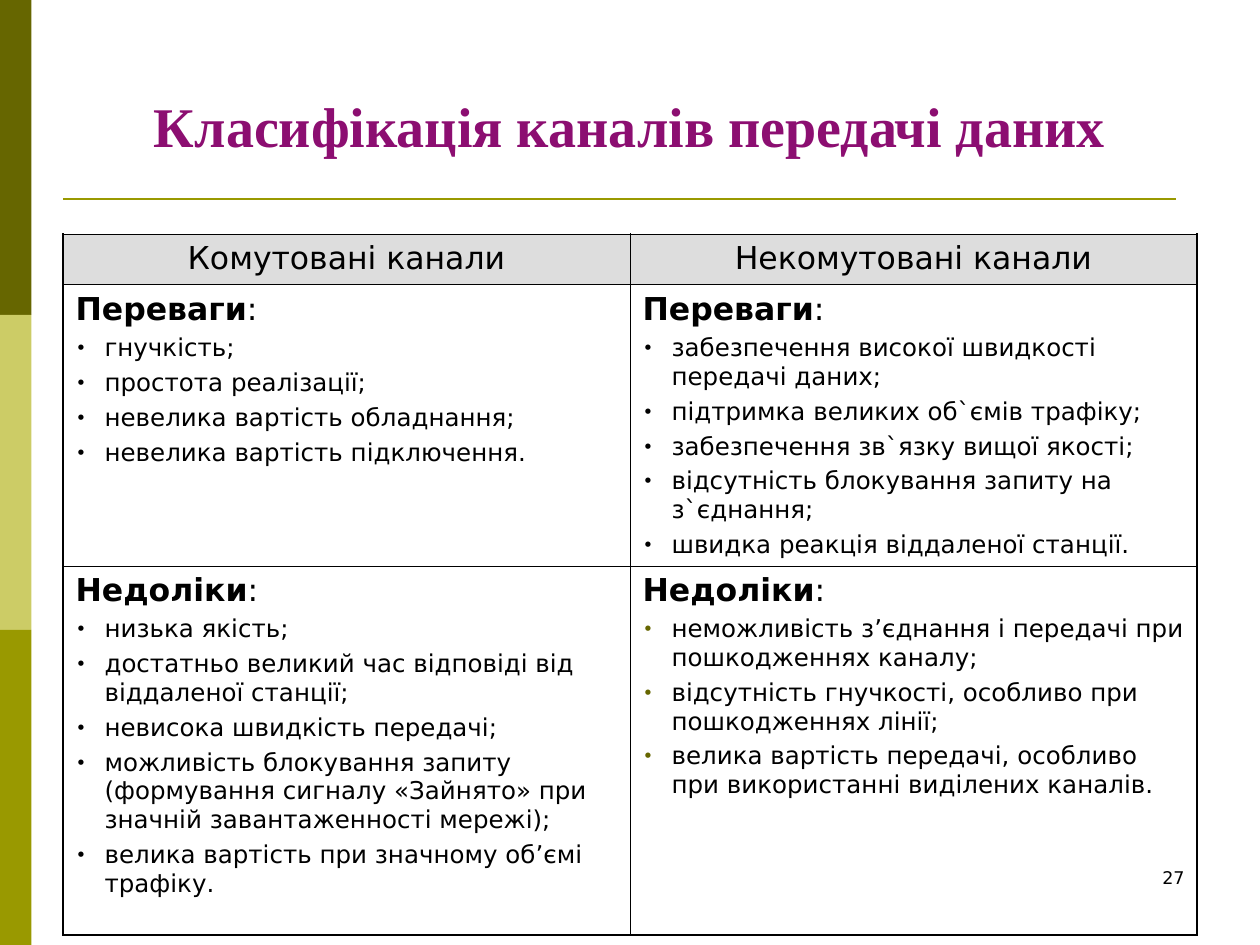
from lxml.etree import SubElement
from pptx import Presentation
from pptx.dml.color import RGBColor
from pptx.enum.shapes import MSO_CONNECTOR, MSO_SHAPE
from pptx.enum.text import MSO_ANCHOR, PP_ALIGN
from pptx.oxml.ns import qn
from pptx.util import Inches, Pt

BLACK, OLIVE, LIME, MOSS = "000000", "666600", "CCCC66", "999900"
THIN, THICK = 0.45, 1.08

HEADERS = ["Комутовані канали", "Некомутовані канали"]
SECTIONS = [
    ("Переваги", [
        (BLACK, ["гнучкість;", "простота реалізації;",
                 "невелика вартість обладнання;",
                 "невелика вартість підключення."]),
        (BLACK, ["забезпечення високої швидкості передачі даних;",
                 "підтримка великих об`ємів трафіку;",
                 "забезпечення зв`язку вищої якості;",
                 "відсутність блокування запиту на з`єднання;",
                 "швидка реакція віддаленої станції."]),
    ]),
    ("Недоліки", [
        (BLACK, ["низька якість;",
                 "достатньо великий час відповіді від віддаленої станції;",
                 "невисока швидкість передачі;",
                 "можливість блокування запиту (формування сигналу «Зайнято» "
                 "при значній завантаженності мережі);",
                 "велика вартість при значному об’ємі трафіку."]),
        (OLIVE, ["неможливість з’єднання і передачі при пошкодженнях каналу;",
                 "відсутність гнучкості, особливо при пошкодженнях лінії;",
                 "велика вартість передачі, особливо при використанні "
                 "виділених каналів."]),
    ]),
]


def color(value):
    return RGBColor.from_string(value)


class SlideBuilder:
    body_font = "DejaVu Sans"
    title_font = "Times New Roman"

    def __init__(self, slide):
        self.slide = slide

    def style(self, run, size, bold=False, font=None, fill=BLACK):
        run.font.size = Pt(size)
        run.font.bold = bold
        run.font.name = font or self.body_font
        run.font.color.rgb = color(fill)

    def band(self, top, height, fill):
        shape = self.slide.shapes.add_shape(
            MSO_SHAPE.RECTANGLE, 0, Inches(top), Inches(0.25), Inches(height))
        shape.shadow.inherit = False
        shape.fill.solid()
        shape.fill.fore_color.rgb = color(fill)
        shape.line.fill.background()

    def rule(self, left, right, y):
        line = self.slide.shapes.add_connector(
            MSO_CONNECTOR.STRAIGHT, Inches(left), Inches(y), Inches(right), Inches(y))
        line.line.color.rgb = color(MOSS)
        line.line.width = Pt(1.5)
        SubElement(line._element.spPr, qn("a:effectLst"))

    def title(self, text):
        title = self.slide.shapes.title
        title.left, title.top = Inches(0.5), Inches(0.3)
        title.width, title.height = Inches(9), Inches(1.01)
        frame = title.text_frame
        frame.text = text
        frame.vertical_anchor = MSO_ANCHOR.BOTTOM
        paragraph = frame.paragraphs[0]
        paragraph.alignment = PP_ALIGN.CENTER
        self.style(paragraph.runs[0], 32, True, self.title_font, "8C0E71")

    def page_number(self, text):
        box = self.slide.shapes.add_textbox(
            Inches(7.17), Inches(6.83), Inches(2.33), Inches(0.5))
        box.text_frame.word_wrap = True
        box.text_frame.text = text
        paragraph = box.text_frame.paragraphs[0]
        paragraph.alignment = PP_ALIGN.RIGHT
        self.style(paragraph.runs[0], 10)

    def table(self, row_heights, column_width):
        rows, columns = len(row_heights), len(HEADERS)
        table = self.slide.shapes.add_table(
            rows, columns, Inches(0.5), Inches(1.86),
            Inches(column_width * columns), Inches(sum(row_heights))).table
        table.first_row = table.horz_banding = False
        for row, height in zip(table.rows, row_heights):
            row.height = Inches(height)
        for r in range(rows):
            for c in range(columns):
                cell = table.cell(r, c)
                cell.margin_left = cell.margin_right = Inches(0.1)
                cell.margin_top = cell.margin_bottom = Inches(0.05)
                self.borders(cell, {"L": c == 0, "R": c == columns - 1,
                                    "T": r == 0, "B": r == rows - 1})
                if r == 0:
                    cell.fill.solid()
                    cell.fill.fore_color.rgb = color("DDDDDD")
                else:
                    cell.fill.background()
        return table

    def borders(self, cell, outer_sides):
        properties = cell._tc.get_or_add_tcPr()
        for side, outer in outer_sides.items():
            line = SubElement(properties, qn(f"a:ln{side}"),
                              w=str(Pt(THICK if outer else THIN)))
            fill = SubElement(line, qn("a:solidFill"))
            SubElement(fill, qn("a:srgbClr"), val=BLACK)

    def header(self, cell, text):
        cell.text_frame.text = text
        paragraph = cell.text_frame.paragraphs[0]
        paragraph.alignment = PP_ALIGN.CENTER
        self.style(paragraph.runs[0], 18)

    def section(self, cell, heading, bullet_color, items):
        frame = cell.text_frame
        frame.text = heading
        paragraph = frame.paragraphs[0]
        paragraph.add_run().text = ":"
        for run, bold in zip(paragraph.runs, (True, False)):
            self.style(run, 18, bold)
        for item in items:
            paragraph = frame.add_paragraph()
            paragraph.text = item
            self.bullet(paragraph, bullet_color)
            paragraph.space_before = Pt(3.5)
            self.style(paragraph.runs[0], 14)

    def bullet(self, paragraph, fill):
        properties = paragraph._p.get_or_add_pPr()
        indent = Inches(0.23)
        properties.set("marL", str(indent))
        properties.set("indent", str(-indent))
        bullet_color = SubElement(properties, qn("a:buClr"))
        SubElement(bullet_color, qn("a:srgbClr"), val=fill)
        SubElement(properties, qn("a:buSzPct"), val="75000")
        SubElement(properties, qn("a:buFont"), typeface=self.body_font)
        SubElement(properties, qn("a:buChar"), char="•")


def main():
    presentation = Presentation()
    presentation.slide_width, presentation.slide_height = Inches(10), Inches(7.5)
    slide = presentation.slides.add_slide(presentation.slide_layouts[5])
    builder = SlideBuilder(slide)

    for index, fill in enumerate((OLIVE, LIME, MOSS)):
        builder.band(index * 2.5, 2.5, fill)
    builder.rule(0.5, 9.33, 1.58)
    builder.title("Класифікація каналів передачі даних")

    table = builder.table([0.4, 2.12, 2.93], 4.5)
    for column, text in enumerate(HEADERS):
        builder.header(table.cell(0, column), text)
    for row, (heading, cells) in enumerate(SECTIONS, start=1):
        for column, (bullet_color, items) in enumerate(cells):
            builder.section(table.cell(row, column), heading, bullet_color, items)
    builder.page_number("27")

    presentation.save("out.pptx")


if __name__ == "__main__":
    main()
